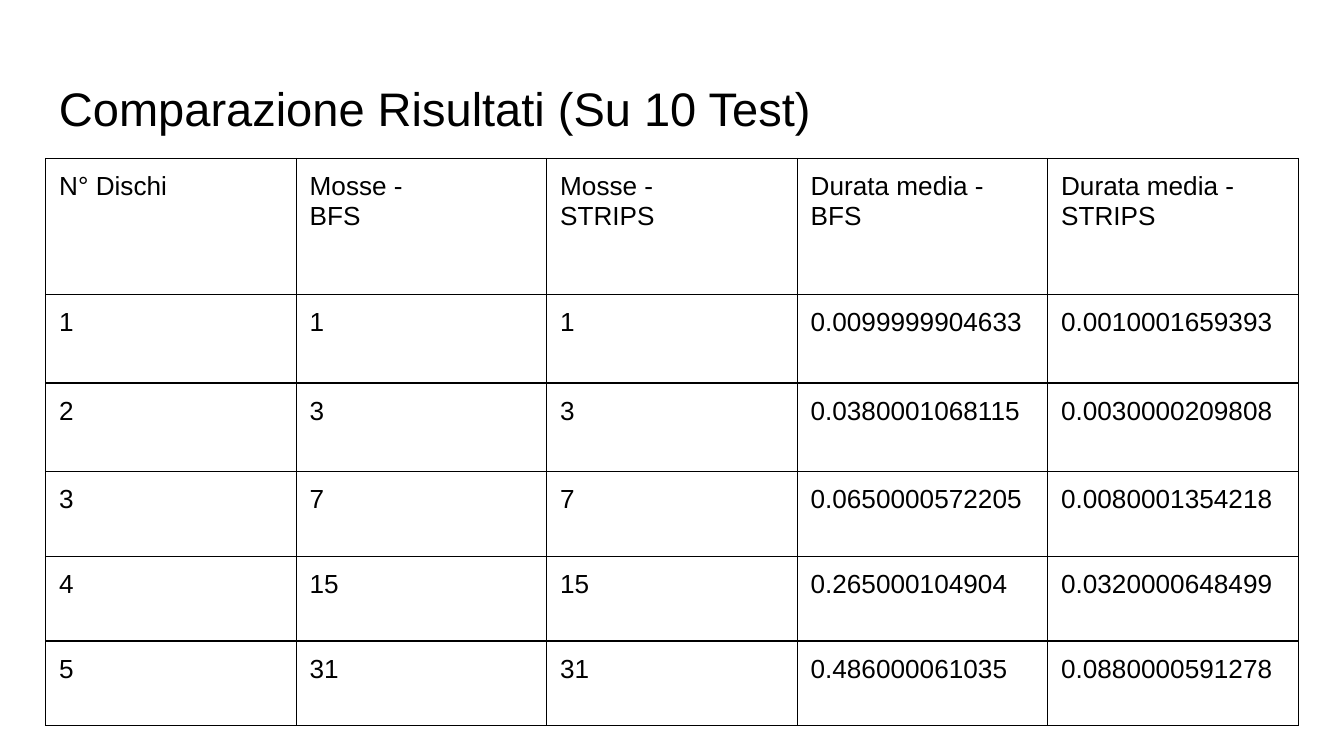
"""Build a slide with a table comparing BFS and STRIPS results."""
from typing import NamedTuple

from lxml.etree import SubElement
from pptx import Presentation
from pptx.dml.color import RGBColor as RGB
from pptx.enum.text import MSO_ANCHOR as Anchor
from pptx.oxml.ns import qn
from pptx.util import Inches, Pt

BLACK = RGB(0, 0, 0)
FONT = "Arial"
PAD = 0.1
LEFT, WIDTH = 0.34, 9.32
HEADS = ("N° Dischi", "Mosse -\nBFS", "Mosse -\nSTRIPS",
         "Durata media -\nBFS", "Durata media -\nSTRIPS")
HEIGHTS = (1.01, 0.66, 0.66, 0.63, 0.63, 0.63)


class Test(NamedTuple):
    disks: str
    bfs: str
    strips: str
    bfs_time: str
    strips_time: str


TESTS = (
    Test("1", "1", "1", "0.0099999904633", "0.0010001659393"),
    Test("2", "3", "3", "0.0380001068115", "0.0030000209808"),
    Test("3", "7", "7", "0.0650000572205", "0.0080001354218"),
    Test("4", "15", "15", "0.265000104904", "0.0320000648499"),
    Test("5", "31", "31", "0.486000061035", "0.0880000591278"),
)


def write(frame, text: str, size: float) -> None:
    for i, line in enumerate(text.split("\n")):
        par = frame.paragraphs[0] if i == 0 else frame.add_paragraph()
        run = par.add_run()
        run.text = line
        run.font.name = FONT
        run.font.size = Pt(size)
        run.font.bold = False
        run.font.color.rgb = BLACK


def pad(box) -> None:
    box.margin_left = box.margin_right = Inches(PAD)
    box.margin_top = box.margin_bottom = Inches(PAD)


def border(cell) -> None:
    props = cell._tc.get_or_add_tcPr()
    for side in ("a:lnL", "a:lnR", "a:lnT", "a:lnB"):
        line = SubElement(props, qn(side), w=str(Pt(0.75)))
        fill = SubElement(line, qn("a:solidFill"))
        SubElement(fill, qn("a:srgbClr"), val=str(BLACK))


def add_title(slide, text: str) -> None:
    box = slide.shapes.add_textbox(
        Inches(LEFT), Inches(0.49), Inches(WIDTH), Inches(0.63))
    frame = box.text_frame
    frame.word_wrap = True
    frame.vertical_anchor = Anchor.MIDDLE
    pad(frame)
    write(frame, text, 25.2)


def add_grid(slide, rows: tuple) -> None:
    table = slide.shapes.add_table(
        len(rows), len(HEADS), Inches(LEFT), Inches(1.18),
        Inches(WIDTH), Inches(sum(HEIGHTS))).table
    table.first_row = table.horz_banding = False
    for col in table.columns:
        col.width = Inches(WIDTH / len(HEADS))
    for r, (row, high) in enumerate(zip(rows, HEIGHTS)):
        table.rows[r].height = Inches(high)
        for c, text in enumerate(row):
            cell = table.cell(r, c)
            pad(cell)
            border(cell)
            cell.fill.background()
            write(cell.text_frame, text, 14)


def main() -> None:
    deck = Presentation()
    deck.slide_width = Inches(10)
    deck.slide_height = Inches(10 * 9 / 16)
    slide = deck.slides.add_slide(deck.slide_layouts[6])
    add_title(slide, "Comparazione Risultati (Su 10 Test)")
    add_grid(slide, (HEADS, *TESTS))
    deck.save("out.pptx")


if __name__ == "__main__":
    main()
